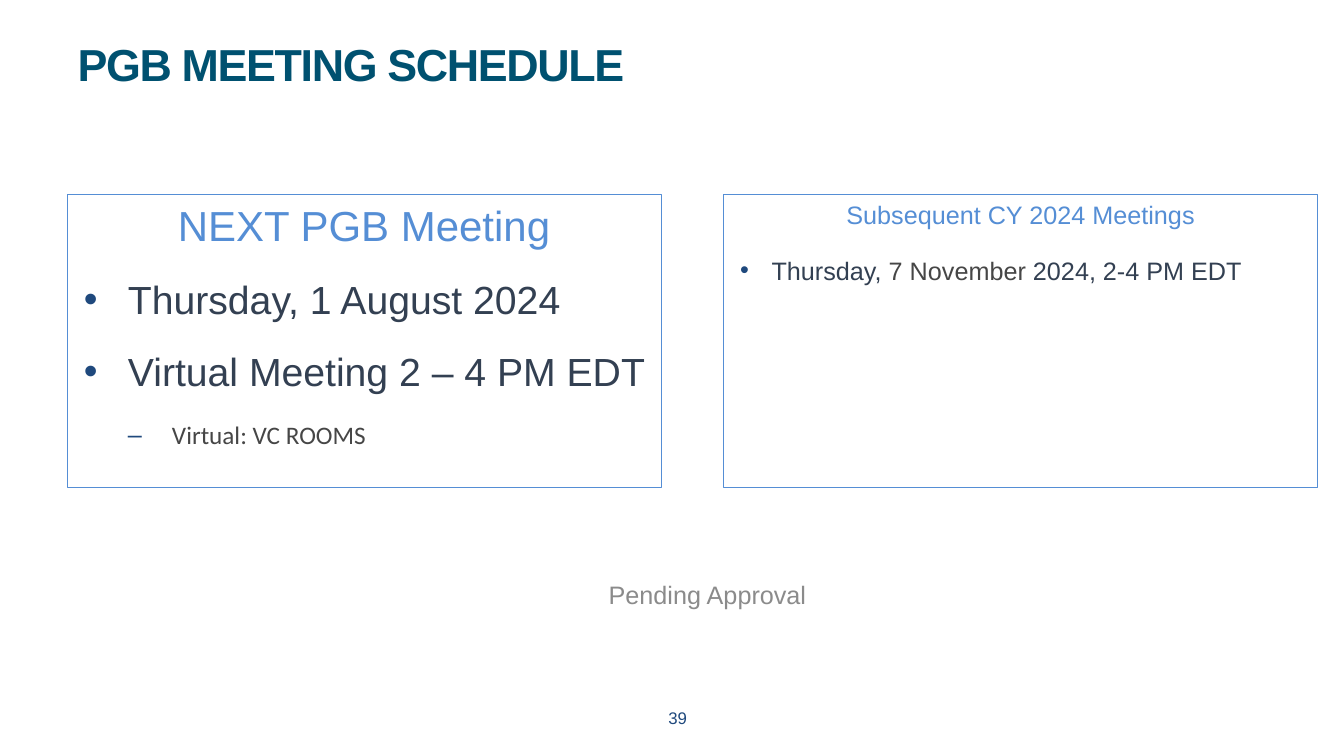
from lxml import etree
from pptx import Presentation
from pptx.dml.color import RGBColor
from pptx.enum.text import MSO_ANCHOR, MSO_AUTO_SIZE, PP_ALIGN
from pptx.oxml.ns import qn
from pptx.util import Cm, Pt

LEFT, CENTER = PP_ALIGN.LEFT, PP_ALIGN.CENTER
TOP = MSO_ANCHOR.TOP
NO_FIT, GROW = MSO_AUTO_SIZE.NONE, MSO_AUTO_SIZE.SHAPE_TO_FIT_TEXT
TWO_CONTENT = 3

TEAL = RGBColor(0x00, 0x51, 0x70)
BLUE = RGBColor(0x55, 0x8E, 0xD5)
NAVY = RGBColor(0x1F, 0x49, 0x7D)
SLATE = RGBColor(0x33, 0x40, 0x52)
CHARCOAL = RGBColor(0x46, 0x46, 0x46)
GREY = RGBColor(0x8B, 0x8B, 0x8B)

SPACED = {"space_before": Pt(6), "space_after": Pt(12), "line_spacing": 1.0}


def set_attrs(target, values):
    """Set each named attribute of the target."""
    for name, value in values.items():
        setattr(target, name, value)


def place(sp, left, top, width, height):
    """Position and size a shape, in centimetres."""
    set_attrs(sp, {"left": Cm(left), "top": Cm(top),
                   "width": Cm(width), "height": Cm(height)})


def add_run(p, text, size, color, font="Arial", bold=False):
    """Append a formatted run to a paragraph."""
    r = p.add_run()
    r.text = text
    set_attrs(r.font, {"name": font, "size": Pt(size), "bold": bold})
    r.font.color.rgb = color
    return r


def set_bullet(p, char, margin, hanging):
    """Give a paragraph a navy bullet and a hanging indent."""
    pPr = p._p.get_or_add_pPr()
    pPr.set("marL", str(Cm(margin)))
    pPr.set("indent", str(-Cm(hanging)))
    clr = etree.SubElement(pPr, qn("a:buClr"))
    etree.SubElement(clr, qn("a:srgbClr")).set("val", str(NAVY))
    etree.SubElement(pPr, qn("a:buFont")).set("typeface", "Arial")
    etree.SubElement(pPr, qn("a:buChar")).set("char", char)


def add_title(s, text):
    """Fill the title placeholder."""
    sp = s.shapes.title
    place(sp, 1.7, 1.07, 30.48, 2.26)
    set_attrs(sp.text_frame, {"vertical_anchor": TOP, "auto_size": NO_FIT})
    p = sp.text_frame.paragraphs[0]
    set_attrs(p, {"alignment": LEFT, "line_spacing": 0.8})
    r = add_run(p, text, 32, TEAL, bold=True)
    r.font._element.set("spc", "-100")


def fill_panel(sp, left, heading, size):
    """Outline a body placeholder and write its centred heading."""
    place(sp, left, 4.9, 14.96, 7.39)
    sp.line.color.rgb = BLUE
    sp.line.width = Pt(0.75)
    tf = sp.text_frame
    set_attrs(tf, {"vertical_anchor": TOP, "auto_size": NO_FIT})
    p = tf.paragraphs[0]
    set_attrs(p, {**SPACED, "space_before": Pt(0), "alignment": CENTER})
    pPr = p._p.get_or_add_pPr()
    pPr.set("marL", "0")
    pPr.set("indent", "0")
    etree.SubElement(pPr, qn("a:buNone"))
    add_run(p, heading, size, BLUE)
    return tf


def add_item(tf, runs, size, margin, hanging, char="•", level=0, font="Arial"):
    """Append a bulleted item made of (text, colour) runs."""
    p = tf.add_paragraph()
    set_attrs(p, {**SPACED, "level": level, "alignment": LEFT})
    set_bullet(p, char, margin, hanging)
    for text, color in runs:
        add_run(p, text, size, color, font)


def add_label(s, box, text, size, color, align, wrap, fit):
    """Add a one-line text box."""
    tf = s.shapes.add_textbox(*map(Cm, box)).text_frame
    set_attrs(tf, {"word_wrap": wrap, "auto_size": fit})
    p = tf.paragraphs[0]
    p.alignment = align
    add_run(p, text, size, color)


def main():
    """Build the meeting schedule slide."""
    prs = Presentation()
    set_attrs(prs, {"slide_width": Cm(33.87), "slide_height": Cm(19.05)})
    s = prs.slides.add_slide(prs.slide_layouts[TWO_CONTENT])
    add_title(s, "PGB MEETING SCHEDULE")

    tf = fill_panel(s.placeholders[1], 1.7, "NEXT PGB Meeting", 30)
    for text in ("Thursday, 1 August 2024", "Virtual Meeting 2 – 4 PM EDT"):
        add_item(tf, [(text, SLATE)], 28, 1.27, 1.11)
    add_item(tf, [("Virtual: VC ROOMS", CHARCOAL)], 18, 2.38, 1.11,
             char="–", level=1, font="Calibri")

    tf = fill_panel(s.placeholders[2], 18.24, "Subsequent CY 2024 Meetings", 18)
    add_item(tf, [("Thursday, ", SLATE), ("7 November", CHARCOAL),
                  (" 2024, 2-4 PM EDT", SLATE)], 18, 0.95, 0.79)

    add_label(s, (13.13, 17.7, 7.9, 1.02), "39", 12, NAVY, CENTER, True, NO_FIT)
    add_label(s, (15.09, 14.48, 5.54, 1.02), "Pending Approval", 18, GREY,
              LEFT, False, GROW)
    prs.save("out.pptx")


if __name__ == "__main__":
    main()
